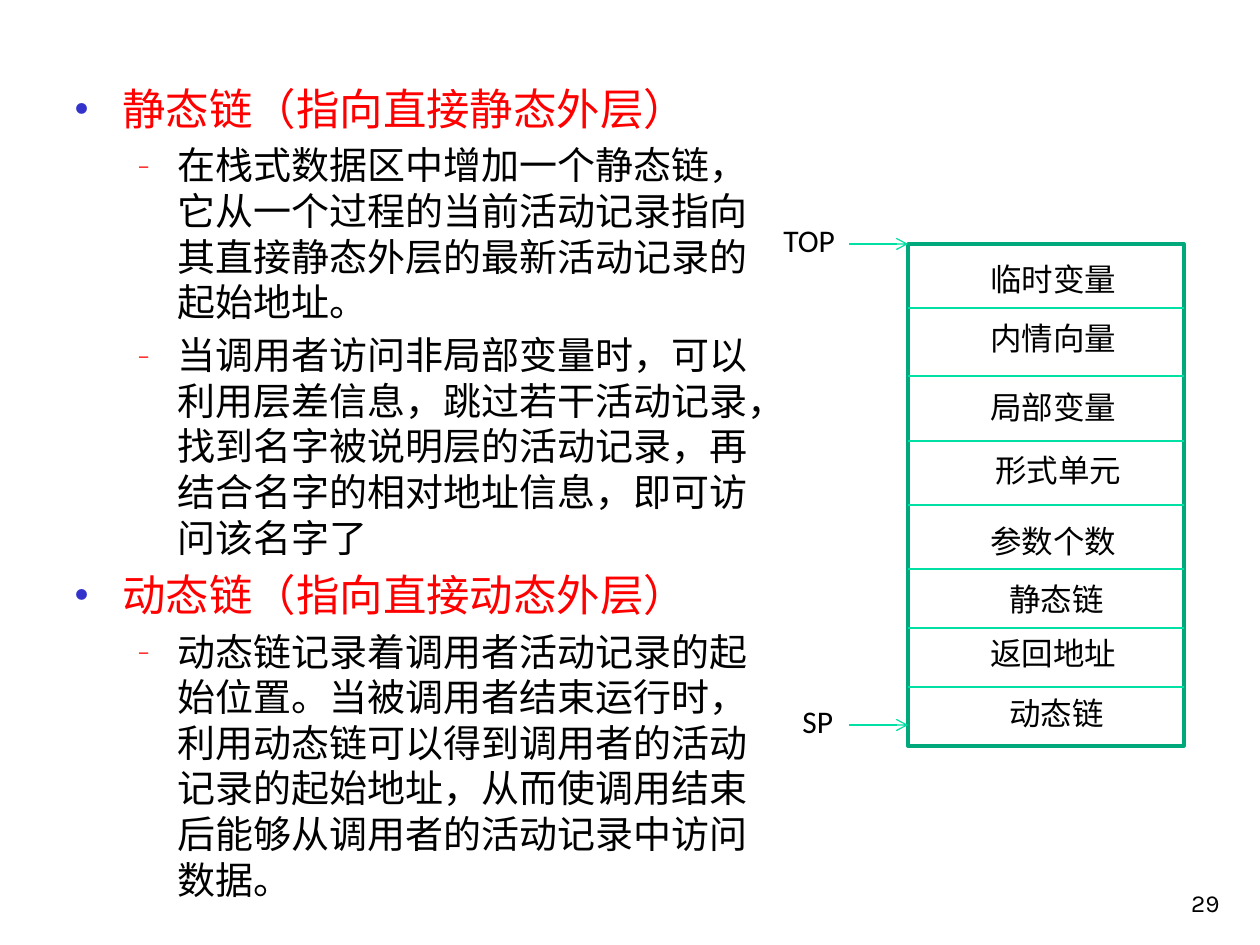
from dataclasses import dataclass

from lxml import etree
from pptx import Presentation
from pptx.dml.color import RGBColor
from pptx.enum import shapes, text
from pptx.oxml.ns import qn
from pptx.util import Emu, Pt

SCALE = 914400 / 126


@dataclass(frozen=True)
class Theme:
    cjk: str = "Noto Sans CJK JP"
    label: str = "Calibri"
    page: str = "Karla"
    ink: str = "000000"
    head: str = "FF0000"
    dot: str = "3333CC"
    dash: str = "FF0000"
    paper: str = "FFFFFF"
    frame: str = "00A97C"
    rule: str = "00DFA4"
    head_size: float = 24.8
    body_size: float = 21.7
    label_size: float = 18
    page_size: float = 14


T = Theme()

# Outline: level and wording
NOTES = [
    (0, "静态链（指向直接静态外层）"),
    (1, "在栈式数据区中增加一个静态链，它从一个过程的当前活动记录指向其直接静态外层的最新活动记录的起始地址。"),
    (1, "当调用者访问非局部变量时，可以利用层差信息，跳过若干活动记录，找到名字被说明层的活动记录，再结合名字的相对地址信息，即可访问该名字了"),
    (0, "动态链（指向直接动态外层）"),
    (1, "动态链记录着调用者活动记录的起始位置。当被调用者结束运行时，利用动态链可以得到调用者的活动记录的起始地址，从而使调用结束后能够从调用者的活动记录中访问数据。"),
]

# Record cells: wording, label left, label top, cell top
CELLS = [
    ("临时变量", 70, 10, 0),
    ("内情向量", 70, 69, 64),
    ("局部变量", 70, 138, 132),
    ("形式单元", 75, 201, 197),
    ("参数个数", 70, 272, 261),
    ("静态链", 89, 330, 325),
    ("返回地址", 70, 384, 384),
    ("动态链", 89, 444, 443),
]

# Pointers: name, text width, height of the arrow
MARKS = [("TOP", 78, 0), ("SP", 59, 481)]


def px(n):
    return Emu(round(n * SCALE))


def rgb(code):
    return RGBColor.from_string(code)


def style(para, face, size, color):
    para.font.name = face
    para.font.size = Pt(size)
    para.font.color.rgb = rgb(color)


def label(slide, words, box, face=T.label, size=T.label_size, wrap=True):
    shape = slide.shapes.add_textbox(*map(px, box))
    frame = shape.text_frame
    frame.word_wrap = wrap
    frame.text = words
    style(frame.paragraphs[0], face, size, T.ink)
    return frame


def line(slide, x, y, end, arrow=False):
    """Draw a level line from x to end."""
    rule = slide.shapes.add_connector(
        shapes.MSO_CONNECTOR.STRAIGHT, px(x), px(y), px(end), px(y))
    rule.line.color.rgb = rgb(T.rule)
    rule.line.width = Pt(0.75)
    if arrow:
        tail = etree.SubElement(rule.line._get_or_add_ln(), qn("a:tailEnd"))
        tail.set("type", "arrow")
    etree.SubElement(rule._element.spPr, qn("a:effectLst"))


def bullet(para, mark, color, size, left, hang):
    props = para._p.get_or_add_pPr()
    props.set("marL", str(px(left)))
    props.set("indent", str(-px(hang)))
    tint = etree.SubElement(props, qn("a:buClr"))
    etree.SubElement(tint, qn("a:srgbClr")).set("val", color)
    etree.SubElement(props, qn("a:buSzPct")).set("val", str(size * 1000))
    etree.SubElement(props, qn("a:buFont")).set("typeface", T.cjk)
    etree.SubElement(props, qn("a:buChar")).set("char", mark)


def outline(slide, box):
    """Fill the body placeholder with the two-level outline."""
    body = slide.placeholders[1]
    body.left, body.top, body.width, body.height = map(px, box)
    frame = body.text_frame
    frame.word_wrap = True
    frame.auto_size = text.MSO_AUTO_SIZE.NONE
    for i, (level, words) in enumerate(NOTES):
        para = frame.paragraphs[0] if i == 0 else frame.add_paragraph()
        run = para.add_run()
        run.text = words
        para.level = level
        size = T.body_size if level else T.head_size
        para.line_spacing = 1.0
        para.space_before = Pt(round(size * 0.2, 1))
        if level:
            bullet(para, "–", T.dash, 55, 102, 39)
        else:
            bullet(para, "●", T.dot, 28, 47, 47)
        style(para, T.cjk, size, T.ink if level else T.head)
        # East Asian letters need their own face
        east = etree.SubElement(run._r.get_or_add_rPr(), qn("a:ea"))
        east.set("typeface", T.cjk)


def record(slide, box):
    """Draw the activation record with its cells and pointers."""
    x, y, w, h = box
    frame = slide.shapes.add_shape(
        shapes.MSO_SHAPE.RECTANGLE, *map(px, box))
    frame.shadow.inherit = False
    frame.fill.solid()
    frame.fill.fore_color.rgb = rgb(T.paper)
    frame.line.color.rgb = rgb(T.frame)
    frame.line.width = Pt(2)

    # Cells
    for words, left, top, edge in CELLS:
        if edge:
            line(slide, x, y + edge, x + w)
        label(slide, words, (x + left, y + top, 168, 50))

    # Pointers
    start = x - 59
    for words, wide, drop in MARKS:
        line(slide, start, y + drop, x, arrow=True)
        label(slide, words, (start - wide, y + drop - 29, wide, 50),
              wrap=False)


def number(slide, box):
    frame = label(slide, "29", box, T.page, T.page_size)
    frame.vertical_anchor = text.MSO_ANCHOR.BOTTOM
    frame.paragraphs[0].alignment = text.PP_ALIGN.RIGHT


def main():
    deck = Presentation()
    deck.slide_width, deck.slide_height = px(1260), px(945)
    slide = deck.slides.add_slide(deck.slide_layouts[1])
    title = slide.shapes.title._element
    title.getparent().remove(title)
    outline(slide, (63, 76, 704, 769))
    number(slide, (970, 861, 262, 63))
    record(slide, (908, 244, 276, 502))
    deck.save("out.pptx")


if __name__ == "__main__":
    main()
